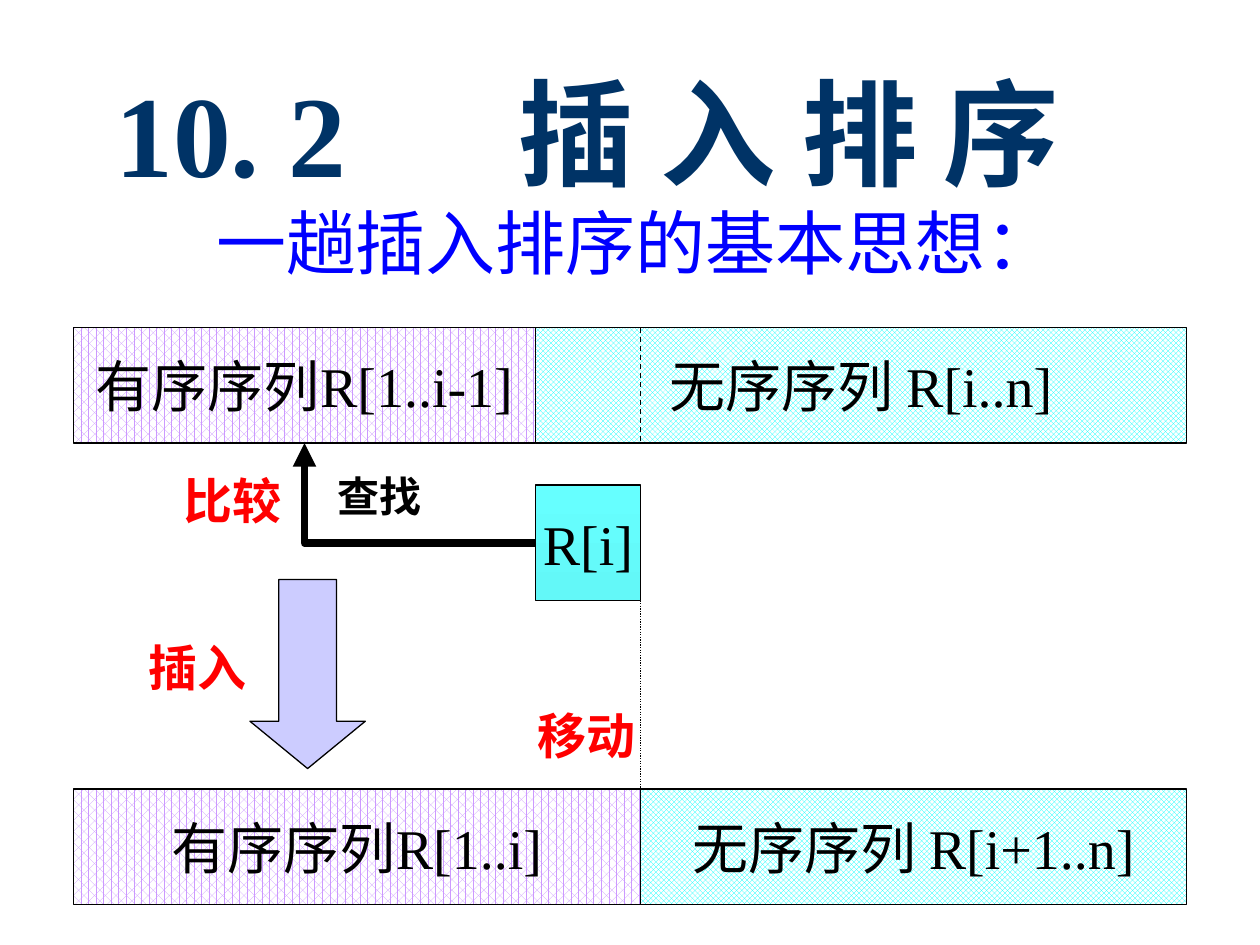
from lxml.etree import SubElement
from pptx import Presentation
from pptx.dml.color import RGBColor
from pptx.enum.dml import MSO_LINE, MSO_PATTERN
from pptx.enum.shapes import MSO_CONNECTOR, MSO_SHAPE
from pptx.enum.text import MSO_ANCHOR, MSO_AUTO_SIZE, PP_ALIGN
from pptx.oxml.ns import qn
from pptx.util import Inches, Pt

BLACK = RGBColor(0, 0, 0)
WHITE = RGBColor(255, 255, 255)
NAVY = RGBColor(0, 0x33, 0x66)
BLUE = RGBColor(0, 0, 255)
RED = RGBColor(255, 0, 0)
LILAC = RGBColor(0xCC, 0x99, 0xFF)
PALE = RGBColor(0xCC, 0xCC, 0xFF)
CYAN = RGBColor(0, 255, 255)
AQUA = RGBColor(0x66, 255, 255)
TEAL = RGBColor(0x63, 0xF8, 0xF8)
FONT = "Times New Roman"

# The grid has 120 columns and 90 rows on a 10 by 7.5 inch slide.
CELL = Inches(10) / 120
LEFT, MID, SPLIT, RIGHT = 7, 51, 61, 113
TOP, KEY, BASE = 31.2, 46.2, 75.15
BAR = 11
HEAD = (LEFT + MID) / 2


def grid(*marks):
    return [round(mark * CELL) for mark in marks]


def write(para, text, size, color, bold=False):
    run = para.add_run()
    run.text = text
    font = run.font
    font.name, font.size, font.bold = FONT, Pt(size), bold
    font.color.rgb = color


def add_title(slide):
    title = slide.shapes.title
    title.left, title.top, title.width, title.height = grid(9.8, -2.6, 96.5, 22.3)
    frame = title.text_frame
    frame.auto_size = MSO_AUTO_SIZE.NONE
    frame.vertical_anchor = MSO_ANCHOR.TOP
    para = frame.paragraphs[0]
    para.alignment = PP_ALIGN.LEFT
    para.line_spacing = 1.6
    tabs = SubElement(para._p.get_or_add_pPr(), qn("a:tabLst"))
    SubElement(tabs, qn("a:tab"), pos=str(Inches(3.2)), algn="l")
    write(para, "10. 2\t插 入 排 序", 66, NAVY, True)


def add_label(slide, text, box, size, color, bold=True, wrap=True):
    frame = slide.shapes.add_textbox(*grid(*box)).text_frame
    frame.word_wrap = wrap
    frame.auto_size = MSO_AUTO_SIZE.SHAPE_TO_FIT_TEXT
    write(frame.paragraphs[0], text, size, color, bold)


def add_form(slide, kind, box):
    form = slide.shapes.add_shape(kind, *grid(*box))
    form.shadow.inherit = False
    form.line.color.rgb = BLACK
    form.line.width = Pt(0.75)
    return form


def add_block(slide, text, start, end, top):
    block = add_form(slide, MSO_SHAPE.RECTANGLE, (start, top, end - start, BAR))
    frame = block.text_frame
    frame.word_wrap = False
    frame.vertical_anchor = MSO_ANCHOR.MIDDLE
    para = frame.paragraphs[0]
    para.alignment = PP_ALIGN.CENTER
    write(para, text, 32, BLACK)
    return block.fill


def add_range(slide, text, start, end, top, weave, color):
    fill = add_block(slide, text, start, end, top)
    fill.patterned()
    fill.pattern = weave
    fill.fore_color.rgb = color
    fill.back_color.rgb = WHITE


def add_key(slide):
    fill = add_block(slide, "R[i]", MID, SPLIT, KEY)
    fill.gradient()
    fill.gradient_angle = 270
    for stop, color in zip(fill.gradient_stops, (AQUA, TEAL)):
        stop.color.rgb = color


def add_line(slide, kind, ends, width):
    line = slide.shapes.add_connector(kind, *grid(*ends))
    line.line.color.rgb = BLACK
    line.line.width = Pt(width)
    SubElement(line._element.spPr, qn("a:effectLst"))
    return line


def add_guide(slide, top, end, dash):
    line = add_line(slide, MSO_CONNECTOR.STRAIGHT, (SPLIT, top, SPLIT, end), 0.75)
    line.line.dash_style = dash


def add_search(slide):
    """Elbow arrow from the key, left and then up to the sorted range."""
    ends = (HEAD, TOP + BAR, MID, KEY + BAR / 2)
    line = add_line(slide, MSO_CONNECTOR.ELBOW, ends, 4.5)
    props = line._element.spPr
    props.find(qn("a:prstGeom")).set("prst", "bentConnector2")
    props.find(qn("a:xfrm")).set("rot", "10800000")
    SubElement(line.line._get_or_add_ln(), qn("a:tailEnd"), type="triangle")


def add_arrow(slide):
    arrow = add_form(slide, MSO_SHAPE.DOWN_ARROW, (23.8, 55.2, BAR, 18))
    arrow.adjustments[0] = 0.5
    arrow.adjustments[1] = 0.41
    arrow.fill.solid()
    arrow.fill.fore_color.rgb = PALE


def main():
    deck = Presentation()
    deck.slide_width, deck.slide_height = Inches(10), Inches(7.5)
    slide = deck.slides.add_slide(deck.slide_layouts[5])
    dots, net = MSO_PATTERN.PERCENT_60, MSO_PATTERN.TRELLIS

    add_title(slide)
    add_label(slide, "一趟插入排序的基本思想：", (19.4, 18.4, 82.4, 9.2),
              40, BLUE, bold=False, wrap=False)

    add_range(slide, "有序序列R[1..i-1]", LEFT, MID, TOP, dots, LILAC)
    add_range(slide, "无序序列 R[i..n]", MID, RIGHT, TOP, net, CYAN)
    add_key(slide)
    add_range(slide, "无序序列 R[i+1..n]", SPLIT, RIGHT, BASE, net, CYAN)
    add_range(slide, "有序序列R[1..i]", LEFT, SPLIT, BASE, dots, LILAC)

    add_search(slide)
    add_arrow(slide)
    add_guide(slide, TOP, TOP + BAR, MSO_LINE.DASH)
    add_guide(slide, KEY + BAR, BASE, MSO_LINE.ROUND_DOT)

    add_label(slide, "查找", (31, 44.2, 16, 6), 24, BLACK)
    for text, left, top in (("比较", 16.3, 44.2), ("插入", 13, 60.1),
                            ("移动", 50, 66.6)):
        add_label(slide, text, (left, top, 16, 6.8), 28, RED)

    deck.save("out.pptx")


if __name__ == "__main__":
    main()
